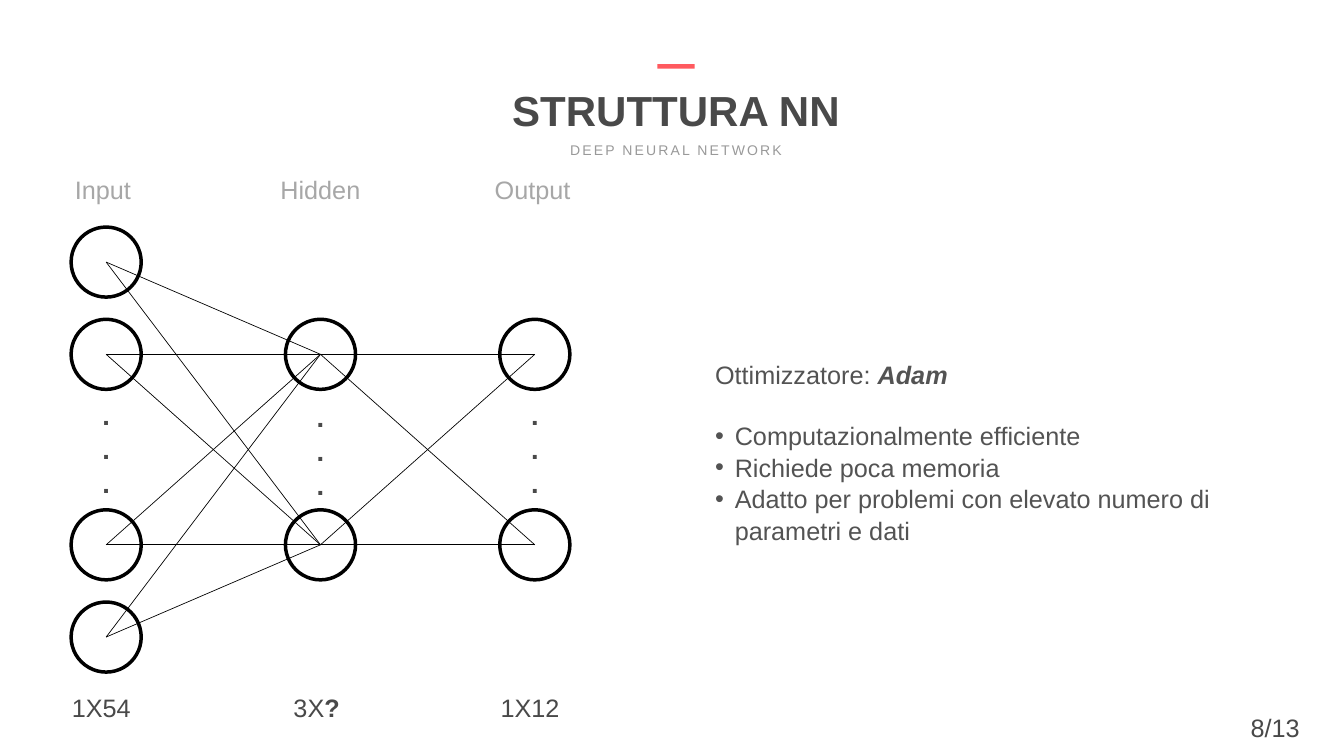
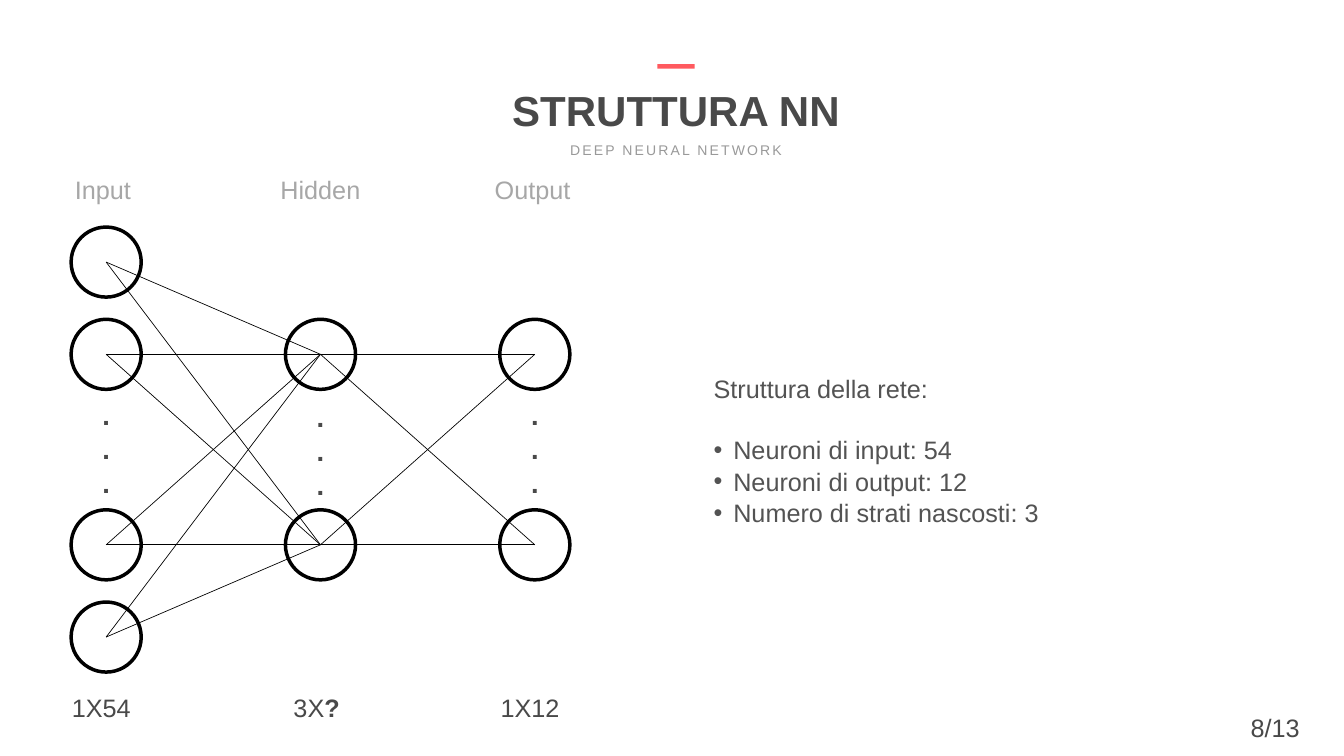
from itertools import product

from lxml import etree
from pptx import Presentation
from pptx.dml.color import RGBColor
from pptx.enum import shapes, text
from pptx.oxml import ns
from pptx.util import Inches, Pt

FONT = "Arial"
DARK = RGBColor(0x49, 0x49, 0x49)
BODY = RGBColor(0x53, 0x53, 0x53)
SUBTITLE = RGBColor(0x99, 0x99, 0x99)
LABEL = RGBColor(0xA7, 0xA7, 0xA7)
ACCENT = RGBColor(0xFF, 0x5A, 0x5F)
BLACK = RGBColor(0, 0, 0)
WHITE = RGBColor(0xFF, 0xFF, 0xFF)

LEFT, CENTER = text.PP_ALIGN.LEFT, text.PP_ALIGN.CENTER
TOP, MIDDLE = text.MSO_ANCHOR.TOP, text.MSO_ANCHOR.MIDDLE

NODE = 1.39          # neuron diameter
COLUMN_STEP = 4.25   # distance between layer centres
OUTER_ROWS = (1.81, 9.25)   # neuron centres, from the top of the network
INNER_ROWS = (3.64, 7.42)

# heading, rows of neurons, dots width, dots top, size caption, caption width, heading width
LAYERS = [
    ("Input", OUTER_ROWS + INNER_ROWS, 0.72, 4.47, [("1X54", "")], 1.46, 1.34),
    ("Hidden", INNER_ROWS, 0.72, 4.5, [("3X", ""), ("?", "b")], 1.17, 1.69),
    ("Output", INNER_ROWS, 0.52, 4.47, [("1X12", "")], 1.46, 1.69),
]

SLIDES = [
    ((14.13, 7.05, 10.98, 3.68), [("Ottimizzatore: ", ""), ("Adam", "bi")],
     ["Computazionalmente efficiente", "Richiede poca memoria",
      "Adatto per problemi con elevato numero di parametri e dati"]),
    ((14.1, 7.33, 10.98, 3.09), [("Struttura della rete:", "")],
     ["Neuroni di input: 54", "Neuroni di output: 12", "Numero di strati nascosti: 3"]),
]


def place(shape, box):
    shape.left, shape.top, shape.width, shape.height = map(Inches, box)


def write(shape, paragraphs, size=36, color=DARK, bold=False, align=LEFT,
          anchor=TOP, tracking=None):
    """Fill a shape with paragraphs, each a list of (wording, style letters)."""
    frame = shape.text_frame
    frame.word_wrap = True
    frame.auto_size = text.MSO_AUTO_SIZE.NONE
    frame.vertical_anchor = anchor
    frame.margin_left = frame.margin_right = Inches(0.05)
    frame.margin_top = frame.margin_bottom = Inches(0.05)
    for index, runs in enumerate(paragraphs):
        paragraph = frame.add_paragraph() if index else frame.paragraphs[0]
        paragraph.alignment = align
        paragraph.line_spacing = 1.04
        paragraph.space_before = paragraph.space_after = Pt(0)
        for wording, style in runs:
            run = paragraph.add_run()
            run.text = wording
            run.font.name, run.font.size = FONT, Pt(size)
            run.font.color.rgb = color
            run.font.bold = bold or "b" in style
            run.font.italic = "i" in style
            if tracking:
                run.font._element.set("spc", str(tracking * 100))
    return frame


def add_text(slide, box, paragraphs, **style):
    return write(slide.shapes.add_textbox(*map(Inches, box)), paragraphs, **style)


def set_bullet(paragraph, bullet=None, indent=0.0):
    properties = paragraph._p.get_or_add_pPr()
    properties.set("marL", str(Inches(indent)))
    properties.set("indent", str(-Inches(indent)))
    mark = etree.SubElement(properties, ns.qn("a:buChar" if bullet else "a:buNone"))
    if bullet:
        mark.set("char", bullet)


def add_filled(slide, kind, box, fill, line_width=0):
    shape = slide.shapes.add_shape(kind, *map(Inches, box))
    shape.shadow.inherit = False
    shape.fill.solid()
    shape.fill.fore_color.rgb = fill
    if line_width:
        shape.line.color.rgb = BLACK
        shape.line.width = Pt(line_width)
    else:
        shape.line.fill.background()


def add_edge(slide, start, end):
    edge = slide.shapes.add_connector(
        shapes.MSO_CONNECTOR.STRAIGHT, *map(Inches, start + end))
    edge.line.color.rgb = BLACK
    edge.line.width = Pt(1)
    etree.SubElement(edge._element.spPr, ns.qn("a:effectLst"))


def add_header(slide, left, top, width):
    center = left + width / 2
    place(slide.shapes.title, (left, top + 0.31, width, 1.11))
    write(slide.shapes.title, [[("STRUTTURA NN", "")]], size=60, bold=True, align=CENTER)
    add_text(slide, (center - 2.25, top + 1.48, 4.5, 0.44),
             [[("DEEP NEURAL NETWORK", "")]],
             size=20, color=SUBTITLE, align=CENTER, tracking=3)
    add_filled(slide, shapes.MSO_SHAPE.RECTANGLE, (center - 0.37, top, 0.74, 0.09), ACCENT)


def add_network(slide, left, top):
    centers = []
    for column, layer in enumerate(LAYERS):
        heading, rows, dots_width, dots_top, caption, caption_width, heading_width = layer
        x = left + NODE / 2 + column * COLUMN_STEP
        centers.append([(x, top + row) for row in rows])

        def centered(offset, width, height):
            return x - width / 2, top + offset, width, height

        add_text(slide, centered(0, heading_width, 0.7), [[(heading, "")]], color=LABEL)
        for row in rows:
            add_filled(slide, shapes.MSO_SHAPE.OVAL,
                       centered(row - NODE / 2, NODE, NODE), WHITE, line_width=5)
        add_text(slide, centered(dots_top, dots_width, 2.06), [[(".", "")]] * 3,
                 size=39, bold=True, align=CENTER, anchor=MIDDLE)
        add_text(slide, centered(10.27, caption_width, 0.7), [caption])

    # Every neuron is joined to every neuron of the next layer
    for sources, targets in zip(centers, centers[1:]):
        for start, end in product(sources, targets):
            add_edge(slide, start, end)


def add_notes_list(slide, box, heading, points):
    body = slide.placeholders[1]
    place(body, box)
    frame = write(body, [heading] + [[(point, "")] for point in points], color=BODY)
    lead, *items = frame.paragraphs
    lead.space_after = Pt(43)
    set_bullet(lead)
    for item in items:
        set_bullet(item, "•", 0.39)


def add_page_number(slide, left, top):
    add_text(slide, (left, top, 2.15, 0.7), [[("8/13", "")]], align=CENTER)


def main():
    deck = Presentation()
    deck.slide_width, deck.slide_height = Inches(26.65), Inches(15)
    for box, heading, points in SLIDES:
        slide = deck.slides.add_slide(deck.slide_layouts[1])
        add_header(slide, 7.7, 1.27, 11.41)
        add_network(slide, 1.41, 3.39)
        add_notes_list(slide, box, heading, points)
        add_page_number(slide, 24.21, 14.06)
    deck.save("out.pptx")


if __name__ == "__main__":
    main()
